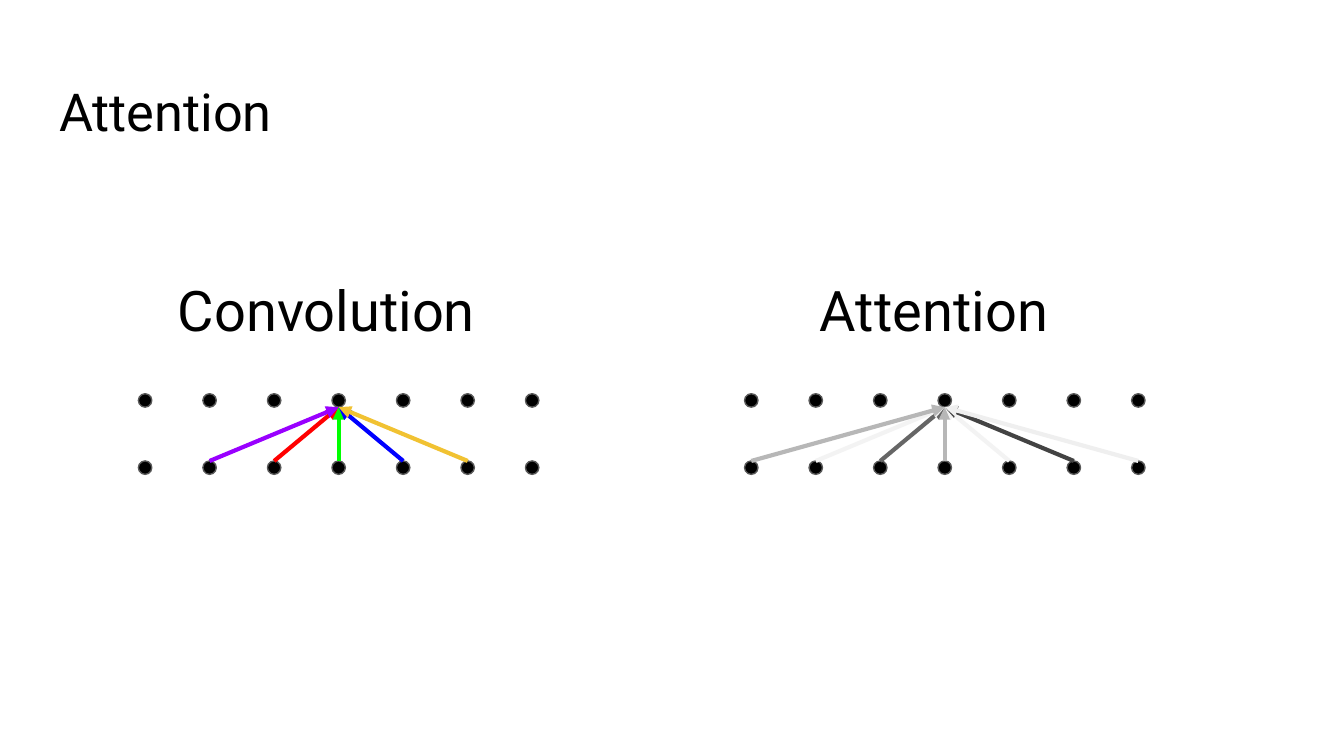
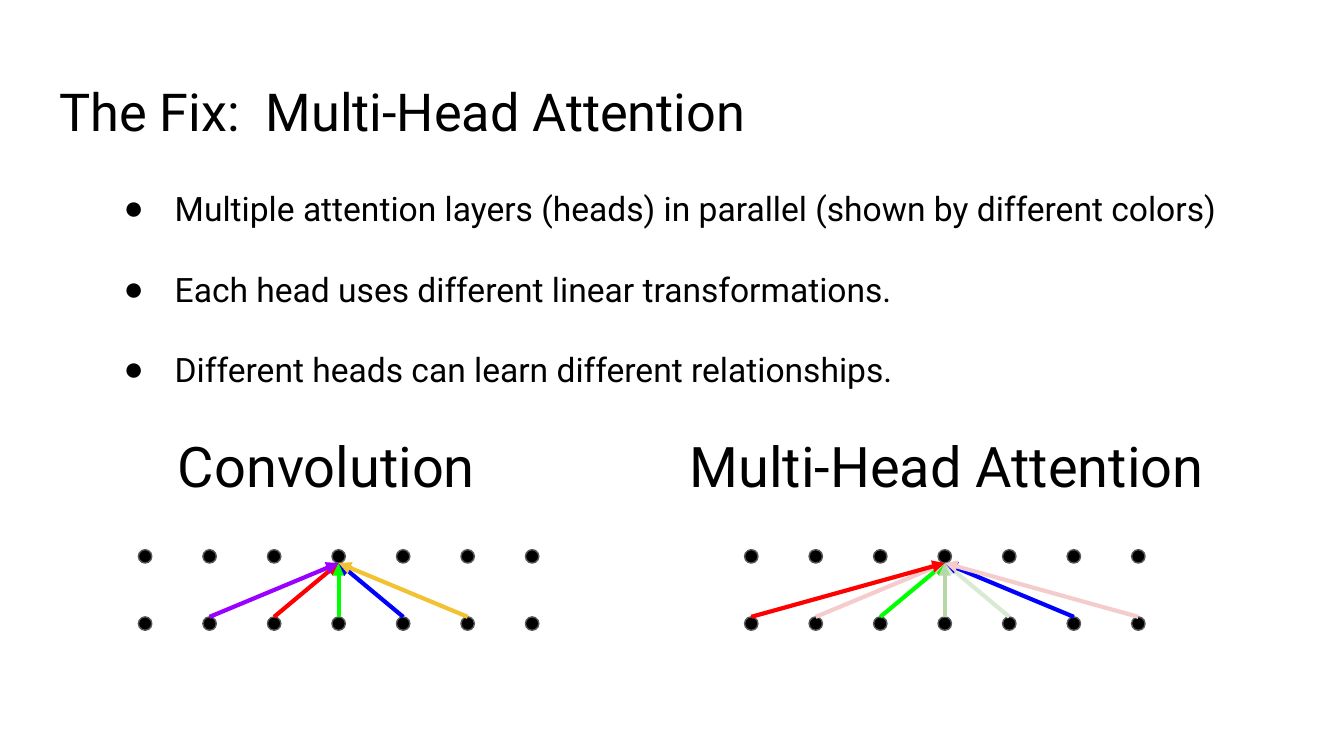
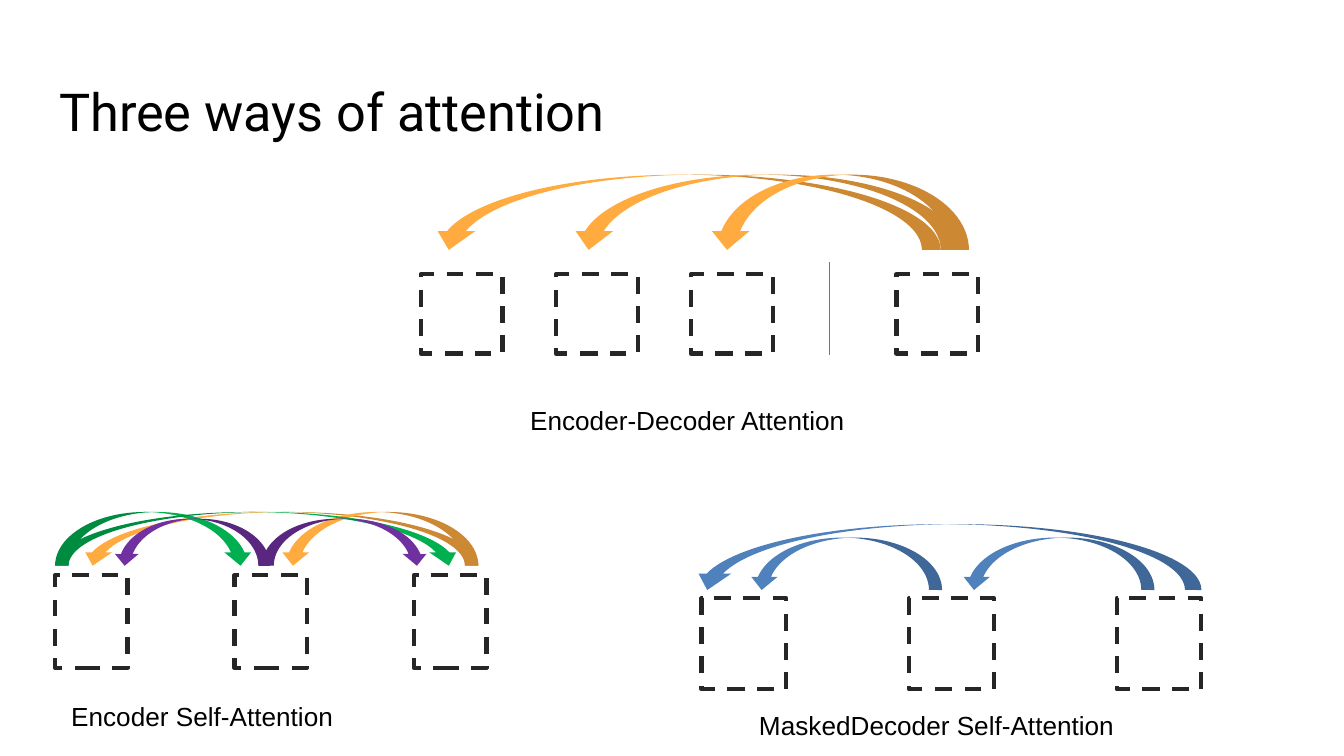
import pptx
import pptx.dml.color
import pptx.enum.dml
import pptx.enum.shapes
import pptx.enum.text
import pptx.oxml.ns
import pptx.util
from lxml import etree

RGB = pptx.dml.color.RGBColor
SHAPE = pptx.enum.shapes.MSO_SHAPE
ALIGN = pptx.enum.text.PP_ALIGN
qn = pptx.oxml.ns.qn
inch = pptx.util.Inches

# Colours
BLACK = RGB(0x00, 0x00, 0x00)
DOT_EDGE = RGB(0x59, 0x59, 0x59)
DASH_EDGE = RGB(0x26, 0x26, 0x26)
RED = RGB(0xFF, 0x00, 0x00)
LIME = RGB(0x00, 0xFF, 0x00)
BLUE = RGB(0x00, 0x00, 0xFF)
VIOLET = RGB(0x99, 0x00, 0xFF)
GOLD = RGB(0xF1, 0xC2, 0x32)
PINK = RGB(0xF4, 0xCC, 0xCC)
SAGE = RGB(0xB6, 0xD7, 0xA8)
PALE_SAGE = RGB(0xD9, 0xEA, 0xD3)
GREY_DARK = RGB(0x43, 0x43, 0x43)
GREY_MID = RGB(0x66, 0x66, 0x66)
GREY = RGB(0xB7, 0xB7, 0xB7)
GREY_LIGHT = RGB(0xEF, 0xEF, 0xEF)
GREY_PALE = RGB(0xF3, 0xF3, 0xF3)
ORANGE = RGB(0xFF, 0xAB, 0x40)
GREEN = RGB(0x00, 0xB0, 0x50)
PURPLE = RGB(0x70, 0x30, 0xA0)
STEEL = RGB(0x4F, 0x81, 0xBD)
DIVIDER = RGB(0x4A, 0x7D, 0xBA)

# Text formats
TITLE = {"name": "Roboto", "size": pptx.util.Pt(28)}
HEADING = {"name": "Roboto", "size": pptx.util.Pt(30)}
BULLET = {"name": "Roboto", "size": pptx.util.Pt(18)}
CAPTION = {"name": "Arial", "size": pptx.util.Pt(14)}

# Dot diagram grid, in inches
DOT_COLUMNS, TARGET_COLUMN = 7, 3
COLUMN_STEP, ROW_STEP, DOT = 0.48, 0.5, 0.1
LEFT_DIAGRAM, RIGHT_DIAGRAM = 1.03, 5.54

# Arrow colour by starting column, in drawing order
CONVOLUTION = {2: RED, 3: LIME, 4: BLUE, 1: VIOLET, 5: GOLD}
SINGLE_HEAD = {2: GREY_MID, 3: GREY, 4: GREY_PALE, 1: GREY_PALE,
               5: GREY_DARK, 6: GREY_LIGHT, 0: GREY}
MULTI_HEAD = {2: LIME, 3: SAGE, 4: PALE_SAGE, 1: PINK,
              5: BLUE, 6: PINK, 0: RED}

HEADS = [
    "Multiple attention layers (heads) in parallel (shown by different colors)",
    "Each head uses different linear transformations.",
    "Different heads can learn different relationships.",
]


def place(sp, box):
    sp.left, sp.top, sp.width, sp.height = map(inch, box)


def set_frame(tf):
    values = {"word_wrap": True,
              "auto_size": pptx.enum.text.MSO_AUTO_SIZE.NONE,
              "vertical_anchor": pptx.enum.text.MSO_ANCHOR.TOP}
    for side in ("left", "top", "right", "bottom"):
        values["margin_" + side] = inch(0.1)
    for name, value in values.items():
        setattr(tf, name, value)


def write(p, text, style, align):
    p.alignment = align
    r = p.add_run()
    r.text = text
    for name, value in style.items():
        setattr(r.font, name, value)
    r.font.color.rgb = BLACK


def add_slide(prs, layout, title):
    s = prs.slides.add_slide(prs.slide_layouts.get_by_name(layout))
    sp = s.shapes.title
    place(sp, (0.34, 0.49, 9.32, 0.63))
    set_frame(sp.text_frame)
    write(sp.text_frame.paragraphs[0], title, TITLE, ALIGN.LEFT)
    return s


def add_label(s, box, text, style):
    tf = s.shapes.add_textbox(*map(inch, box)).text_frame
    set_frame(tf)
    write(tf.paragraphs[0], text, style, ALIGN.CENTER)


def add_bullets(s, box, items):
    sp = s.placeholders[1]
    place(sp, box)
    tf = sp.text_frame
    set_frame(tf)
    for i, item in enumerate(items):
        p = tf.paragraphs[0] if i == 0 else tf.add_paragraph()
        p.space_before = pptx.util.Pt(21.5 if i else 0)
        pPr = p._p.get_or_add_pPr()
        pPr.set("marL", str(inch(0.5)))
        pPr.set("indent", str(inch(-0.38)))
        color = etree.SubElement(pPr, qn("a:buClr"))
        etree.SubElement(color, qn("a:srgbClr"), val=str(BLACK))
        etree.SubElement(pPr, qn("a:buFont"), typeface="Arial")
        etree.SubElement(pPr, qn("a:buChar"), char="●")
        write(p, item, BULLET, ALIGN.LEFT)


def add_preset(s, kind, box, fill=None, edge=None, weight=0.75):
    sp = s.shapes.add_shape(kind, *map(inch, box))
    sp.shadow.inherit = False
    if fill is None:
        sp.fill.background()
    else:
        sp.fill.solid()
        sp.fill.fore_color.rgb = fill
    if edge is None:
        sp.line.fill.background()
    else:
        sp.line.color.rgb = edge
        sp.line.width = pptx.util.Pt(weight)
    return sp


def add_line(s, start, end, color, weight, arrow=False):
    sp = s.shapes.add_connector(pptx.enum.shapes.MSO_CONNECTOR.STRAIGHT,
                                *map(inch, start + end))
    sp.line.color.rgb = color
    sp.line.width = pptx.util.Pt(weight)
    if arrow:
        etree.SubElement(sp.line._get_or_add_ln(), qn("a:tailEnd"), type="triangle")
    etree.SubElement(sp._element.spPr, qn("a:effectLst"))


def add_dot_diagram(s, left, top, heading, heading_span, arrows):
    """Two rows of dots, with arrows from the lower row to one upper dot."""
    lower = top + ROW_STEP
    for y in (lower, top):
        for column in range(DOT_COLUMNS):
            add_preset(s, SHAPE.OVAL, (left + column * COLUMN_STEP, y, DOT, DOT),
                       BLACK, DOT_EDGE)

    def center(column):
        return left + column * COLUMN_STEP + DOT / 2

    for column, color in arrows.items():
        add_line(s, (center(column), lower), (center(TARGET_COLUMN), top + DOT),
                 color, 2.25, arrow=True)
    x, width = heading_span
    add_label(s, (x, top - 0.98, width, 0.75), heading, HEADING)


def add_dashed_boxes(s, lefts, top, width, height):
    for left in lefts:
        sp = add_preset(s, SHAPE.RECTANGLE, (left, top, width, height),
                        edge=DASH_EDGE, weight=2.25)
        sp.line.dash_style = pptx.enum.dml.MSO_LINE.DASH


def add_arc(s, box, color, to_left=True):
    sp = add_preset(s, SHAPE.CURVED_DOWN_ARROW, box, color)
    for i, value in enumerate((0.25, 0.5, 0.25)):
        sp.adjustments[i] = value
    if to_left:
        sp._element.spPr.get_or_add_xfrm().set("flipH", "1")


def spread(first, last, count=3):
    return [first + i * (last - first) / (count - 1) for i in range(count)]


def draw_encoder_decoder(s):
    add_dashed_boxes(s, spread(3.13, 5.14) + [6.67], 2.04, 0.61, 0.59)
    add_line(s, (6.17, 1.95), (6.17, 2.64), DIVIDER, 0.75)
    for left, width in ((3.2, 3.8), (4.24, 2.9), (5.27, 1.94)):
        add_arc(s, (left, 1.3, width, 0.56), ORANGE)
    add_label(s, (3.31, 2.91, 3.61, 0.35), "Encoder-Decoder Attention", CAPTION)


def draw_encoder(s):
    add_dashed_boxes(s, spread(0.41, 3.08), 4.28, 0.54, 0.69)
    base = 4.21
    for left, width, height, color, to_left in (
            (0.59, 2.97, 0.4, ORANGE, True),
            (2.08, 1.48, 0.4, ORANGE, True),
            (0.41, 1.48, 0.4, GREEN, False),
            (0.41, 3.03, 0.4, GREEN, False),
            (0.84, 1.17, 0.35, PURPLE, True),
            (1.95, 1.24, 0.35, PURPLE, False)):
        add_arc(s, (left, base - height, width, height), color, to_left)
    add_label(s, (0.41, 5.11, 2.19, 0.35), "Encoder Self-Attention", CAPTION)


def draw_masked_decoder(s):
    add_dashed_boxes(s, spread(5.22, 8.31), 4.45, 0.63, 0.68)
    base = 4.39
    for left, width, height in ((5.14, 3.8, 0.49), (7.15, 1.44, 0.39),
                                (5.57, 1.44, 0.39)):
        add_arc(s, (left, base - height, width, height), STEEL)
    add_label(s, (5.52, 5.18, 2.9, 0.35), "MaskedDecoder Self-Attention", CAPTION)


def main():
    prs = pptx.Presentation()
    # Widescreen, 16:9
    prs.slide_width, prs.slide_height = inch(10), inch(10 * 9 / 16)

    # Convolution and attention
    s = add_slide(prs, "Title Only", "Attention")
    add_dot_diagram(s, LEFT_DIAGRAM, 2.93, "Convolution", (0.96, 2.94), CONVOLUTION)
    add_dot_diagram(s, RIGHT_DIAGRAM, 2.93, "Attention", (5.48, 2.94), SINGLE_HEAD)

    # Multi-head attention
    s = add_slide(prs, "Title and Content", "The Fix:  Multi-Head Attention")
    add_dot_diagram(s, LEFT_DIAGRAM, 4.09, "Convolution", (0.96, 2.94), CONVOLUTION)
    add_dot_diagram(s, RIGHT_DIAGRAM, 4.09, "Multi-Head Attention", (4.87, 4.35),
                    MULTI_HEAD)
    add_bullets(s, (0.7, 1.3, 8.52, 1.65), HEADS)

    # Three ways of attention
    s = add_slide(prs, "Title Only", "Three ways of attention")
    draw_encoder_decoder(s)
    draw_encoder(s)
    draw_masked_decoder(s)

    prs.save("out.pptx")


if __name__ == "__main__":
    main()
